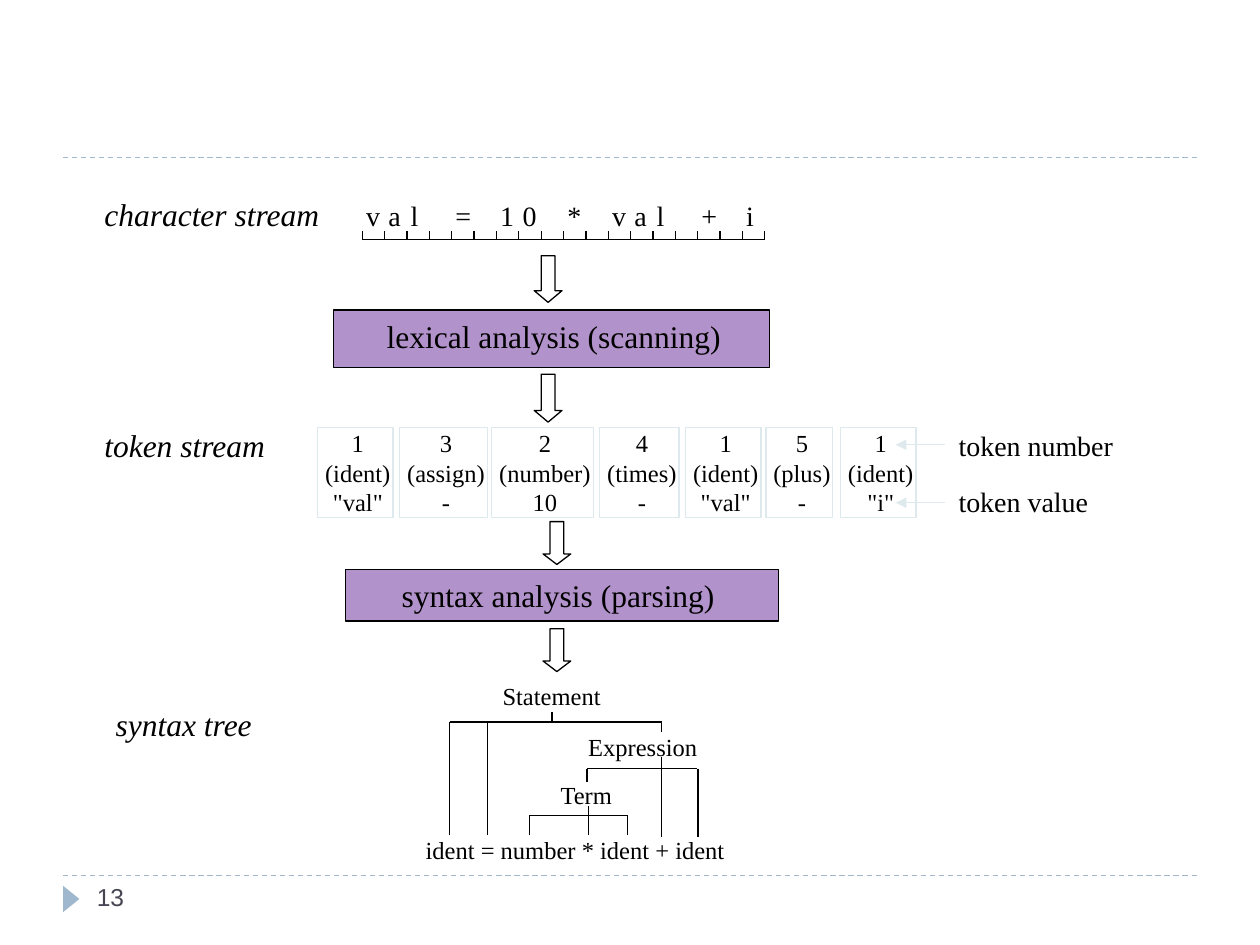
"""Build the slide on compiler phases, from characters to tokens to a syntax tree."""
from dataclasses import dataclass

from lxml.etree import SubElement
from pptx import Presentation
from pptx.dml.color import RGBColor
from pptx.enum.dml import MSO_LINE
from pptx.enum.shapes import MSO_CONNECTOR, MSO_SHAPE
from pptx.enum.text import MSO_ANCHOR, MSO_AUTO_SIZE, PP_ALIGN
from pptx.oxml.ns import qn
from pptx.util import Inches, Pt

COLUMNS, ROWS = 100, 75
WIDTH, HEIGHT = Inches(10), Inches(7.5)


@dataclass(frozen=True)
class Theme:
    """Colours, fonts, type sizes and line width."""

    ink: str = "000000"
    phase: str = "B292CA"
    token: str = "DDE9EC"
    rule: str = "9FB8CD"
    footer: str = "464653"
    serif: str = "Times New Roman"
    sans: str = "Arial"
    heading: int = 18
    label: int = 16
    small: int = 14
    stroke: float = 0.75


@dataclass(frozen=True)
class Box:
    """A frame in grid columns and rows."""

    left: float
    top: float
    width: float
    height: float

    def emu(self) -> tuple[int, ...]:
        """Return the frame in slide units."""
        return col(self.left), row(self.top), col(self.width), row(self.height)


@dataclass(frozen=True)
class Label:
    """A line of text in its frame."""

    text: str
    box: Box
    size: int
    italic: bool = False
    align: PP_ALIGN = PP_ALIGN.LEFT


@dataclass(frozen=True)
class Token:
    """A token with its code, class and value, and its place in the row."""

    left: float
    width: float
    lines: tuple[str, str, str]


THEME = Theme()
LABEL_INSETS = {PP_ALIGN.LEFT: (1, 0.5, 0.2, 0.5), PP_ALIGN.CENTER: (0.5, 0.5, 0.5, 0.5)}
TOKEN_INSETS = (0.4, 0.1, 0, 0.1)
NO_INSETS = (0, 0, 0, 0)

SOURCE_CODE = "val = 10 * val + i"
STREAM_LEFT, STREAM_RIGHT, STREAM_BASE = 28.75, 60.7, 19
GLYPH_WIDTHS = {"a": 1, "l": 0.6, "i": 0.6, "=": 1.3, "+": 1.3}

LABELS = (
    Label("character stream", Box(7.3, 15, 19.1, 4), THEME.heading, True),
    Label("token stream", Box(7.3, 33.3, 14.8, 4), THEME.heading, True),
    Label("syntax tree", Box(8.2, 55.5, 12.9, 4), THEME.heading, True),
    Label("lexical analysis (scanning)", Box(29.7, 24.7, 28.5, 4), THEME.heading, align=PP_ALIGN.CENTER),
    Label("syntax analysis (parsing)", Box(30.9, 45.2, 26.8, 4), THEME.heading, align=PP_ALIGN.CENTER),
    Label("token number", Box(75.1, 33.5, 14.2, 3.7), THEME.label),
    Label("token value", Box(75.1, 38, 12.3, 3.7), THEME.label),
    Label("Statement", Box(38.9, 53.6, 9.8, 3.4), THEME.small),
    Label("Expression", Box(45.7, 57.6, 10.6, 3.4), THEME.small),
    Label("Term", Box(43.5, 61.4, 6.2, 3.4), THEME.small),
    Label("ident = number * ident + ident", Box(32.8, 65.8, 25.7, 3.4), THEME.small),
)
PHASES = (Box(26.5, 24.6, 34.6, 4.6), Box(27.4, 45.2, 34.4, 4.1))
FLOW_ARROWS = (
    (Box(42.4, 20.3, 2.2, 3.7), 0.42),
    (Box(42.4, 29.7, 2.2, 3.8), 0.42),
    (Box(43.1, 41.4, 2.2, 3.4), 0.38),
    (Box(43.1, 49.9, 2.2, 3.4), 0.38),
)
TOKENS = (
    Token(25.2, 6, ("1", "(ident)", '"val"')),
    Token(31.7, 7, ("3", "(assign)", "-")),
    Token(39, 8.1, ("2", "(number)", "10")),
    Token(47.6, 6.3, ("4", "(times)", "-")),
    Token(54.4, 6, ("1", "(ident)", '"val"')),
    Token(60.8, 5.3, ("5", "(plus)", "-")),
    Token(66.7, 6, ("1", "(ident)", '"i"')),
)
TREE_BARS = ((35.7, 52.5, 57.3), (46.6, 55.3, 61), (42, 49.8, 64.7))
TREE_STEMS = (
    (43.8, 56.5, 57.2), (35.7, 57.3, 66.3), (38.7, 57.3, 66.3), (52.5, 57.2, 58.1),
    (52.5, 60.1, 66.4), (46.6, 61, 62.1), (55.4, 61, 66.4),
    (46.7, 64, 66.3), (42, 64.7, 66.3), (49.8, 64.7, 66.3),
)


def col(columns: float) -> int:
    """Convert grid columns to slide units."""
    return round(WIDTH * columns / COLUMNS)


def row(rows: float) -> int:
    """Convert grid rows to slide units."""
    return round(HEIGHT * rows / ROWS)


def write(shape, lines, size, insets, align=PP_ALIGN.LEFT, italic=False,
          font=THEME.serif, color=THEME.ink, wrap=False) -> None:
    """Fill a shape with evenly styled paragraphs."""
    frame = shape.text_frame
    frame.text = "\n".join(lines)
    frame.word_wrap = wrap
    frame.auto_size = MSO_AUTO_SIZE.SHAPE_TO_FIT_TEXT
    frame.vertical_anchor = MSO_ANCHOR.TOP
    left, top, right, bottom = insets
    frame.margin_left, frame.margin_right = col(left), col(right)
    frame.margin_top, frame.margin_bottom = row(top), row(bottom)
    for paragraph in frame.paragraphs:
        paragraph.alignment = align
        paragraph.font.name = font
        paragraph.font.size = Pt(size)
        paragraph.font.italic = italic
        paragraph.font.color.rgb = RGBColor.from_string(color)


def add_figure(slide, kind: MSO_SHAPE, box: Box, fill: str | None, line: str | None):
    """Draw a preset shape without shadow."""
    figure = slide.shapes.add_shape(kind, *box.emu())
    figure.shadow.inherit = False
    if fill:
        figure.fill.solid()
        figure.fill.fore_color.rgb = RGBColor.from_string(fill)
    else:
        figure.fill.background()
    if line:
        figure.line.color.rgb = RGBColor.from_string(line)
        figure.line.width = Pt(THEME.stroke)
    else:
        figure.line.fill.background()
    return figure


def add_line(slide, x1: float, y1: float, x2: float, y2: float, color: str = THEME.ink,
             dashed: bool = False, arrow: bool = False) -> None:
    """Draw a straight line, dashed or with an arrowhead on request."""
    line = slide.shapes.add_connector(MSO_CONNECTOR.STRAIGHT, col(x1), row(y1), col(x2), row(y2))
    line.line.color.rgb = RGBColor.from_string(color)
    line.line.width = Pt(THEME.stroke)
    if dashed:
        line.line.dash_style = MSO_LINE.DASH
    properties = line._element.spPr
    if arrow:
        SubElement(properties.find(qn("a:ln")), qn("a:tailEnd"), type="triangle")
    SubElement(properties, qn("a:effectLst"))


def draw_frame(slide) -> None:
    """Draw the two rules, the page marker and the page number."""
    for y in (69.5, 12.5):
        add_line(slide, 5, y, 95, y, THEME.rule, dashed=True)
    marker = add_figure(slide, MSO_SHAPE.ISOSCELES_TRIANGLE, Box(4.6, 70.7, 2.1, 1.3), THEME.rule, None)
    marker.rotation = 90
    page = slide.shapes.add_textbox(*Box(6.7, 69.5, 21.7, 4).emu())
    write(page, ["13"], THEME.small, LABEL_INSETS[PP_ALIGN.LEFT], font=THEME.sans, color=THEME.footer, wrap=True)


def draw_character_stream(slide) -> None:
    """Draw the ruler with one source character per cell."""
    pitch = (STREAM_RIGHT - STREAM_LEFT) / len(SOURCE_CODE)
    add_line(slide, STREAM_LEFT, STREAM_BASE, STREAM_RIGHT, STREAM_BASE)
    for index in range(len(SOURCE_CODE) + 1):
        x = STREAM_LEFT + index * pitch
        add_line(slide, x, STREAM_BASE, x, STREAM_BASE - 0.7)
    for index, character in enumerate(SOURCE_CODE):
        if character != " ":
            cell = Box(STREAM_LEFT + index * pitch + 0.3, 15.8, GLYPH_WIDTHS.get(character, 1.1), 2.7)
            write(slide.shapes.add_textbox(*cell.emu()), [character], THEME.label, NO_INSETS)


def draw_phases(slide) -> None:
    """Draw the phase bars and the arrows between the stages."""
    for box in PHASES:
        add_figure(slide, MSO_SHAPE.RECTANGLE, box, THEME.phase, THEME.ink)
    for box, head in FLOW_ARROWS:
        arrow = add_figure(slide, MSO_SHAPE.DOWN_ARROW, box, None, THEME.ink)
        arrow.adjustments[1] = head


def draw_tokens(slide) -> None:
    """Draw the token row and its two pointers."""
    for token in TOKENS:
        box = Box(token.left, 33.9, token.width, 7.2)
        cell = add_figure(slide, MSO_SHAPE.RECTANGLE, box, None, THEME.token)
        write(cell, token.lines, THEME.small, TOKEN_INSETS, PP_ALIGN.CENTER)
    for y in (35.3, 39.9):
        add_line(slide, 75, y, 71.1, y, THEME.token, arrow=True)


def draw_tree(slide) -> None:
    """Draw the branches of the syntax tree."""
    for left, right, y in TREE_BARS:
        add_line(slide, left, y, right, y)
    for x, top, bottom in TREE_STEMS:
        add_line(slide, x, top, x, bottom)


def main() -> None:
    """Build and save the slide."""
    deck = Presentation()
    deck.slide_width, deck.slide_height = WIDTH, HEIGHT
    slide = deck.slides.add_slide(deck.slide_layouts[6])
    for draw in (draw_frame, draw_character_stream, draw_phases, draw_tokens, draw_tree):
        draw(slide)
    for label in LABELS:
        caption = slide.shapes.add_textbox(*label.box.emu())
        write(caption, [label.text], label.size, LABEL_INSETS[label.align], label.align, label.italic)
    deck.save("out.pptx")


if __name__ == "__main__":
    main()
